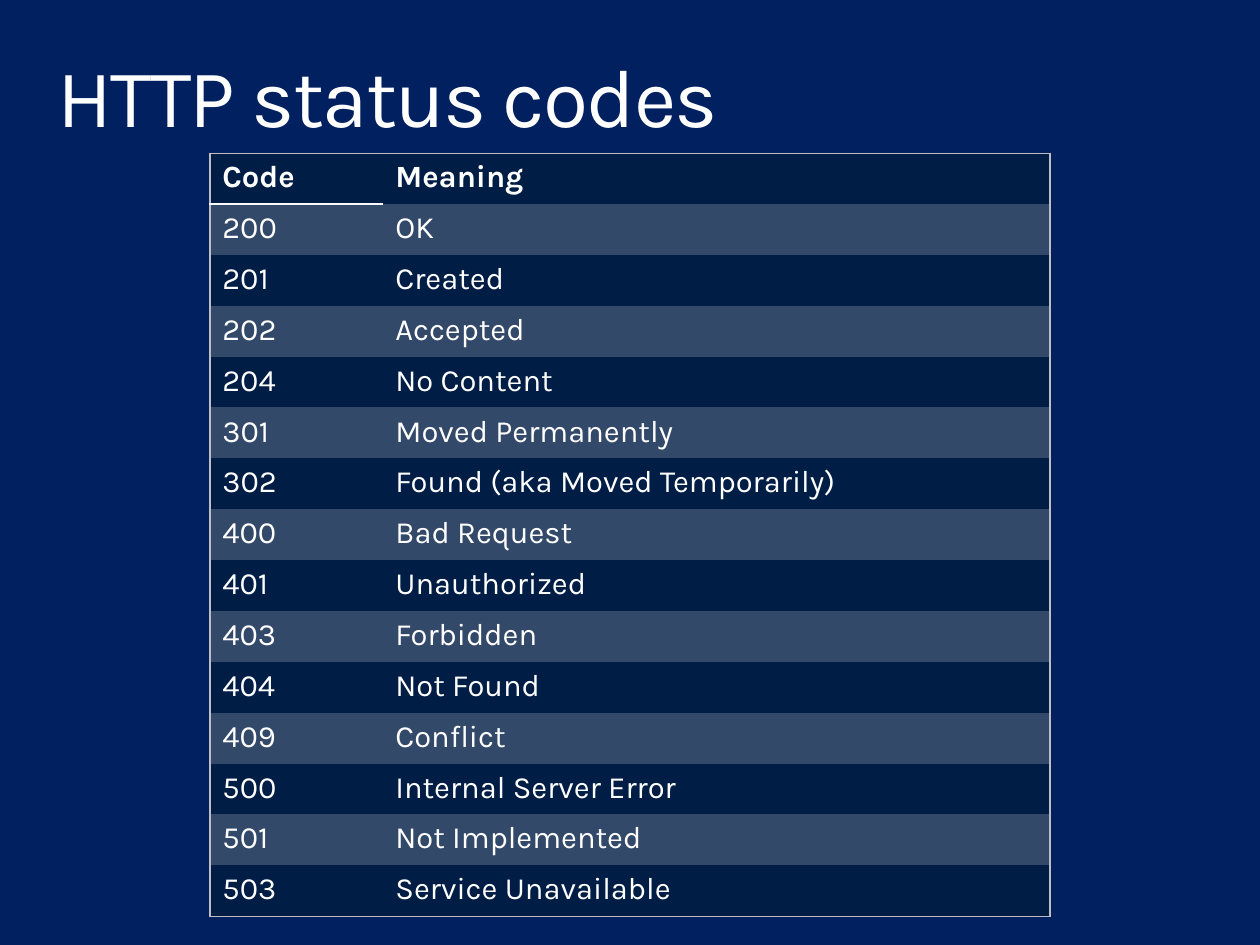
from dataclasses import dataclass

from lxml import etree
from pptx import Presentation
from pptx.dml.color import RGBColor
from pptx.enum.text import MSO_ANCHOR, MSO_AUTO_SIZE, PP_ALIGN
from pptx.oxml.ns import qn
from pptx.util import Inches, Pt

MIDDLE, LEFT, NO_FIT = MSO_ANCHOR.MIDDLE, PP_ALIGN.LEFT, MSO_AUTO_SIZE.NONE
TITLE_ONLY = 5
PLAIN_STYLE = "{2D5ABB26-0587-4C30-8999-92F81FD0307C}"
WIDTH, HEIGHT = Inches(10.2), Inches(7.65)


@dataclass(frozen=True)
class Theme:
    font: str = "Karla"
    back: str = "002060"
    text: str = "FFFFFF"
    dark: str = "001D45"
    light: str = "33496A"
    edge: str = "BDBDC2"
    rule: str = "F9F9F9"
    title: float = 48
    body: float = 18
    thin: float = 0.75
    thick: float = 1.35


@dataclass(frozen=True)
class Box:
    """A place on the slide, in shares of its width and height."""
    left: float
    top: float
    width: float
    height: float

    def place(self) -> tuple[int, int, int, int]:
        return (round(self.left * WIDTH), round(self.top * HEIGHT),
                round(self.width * WIDTH), round(self.height * HEIGHT))


@dataclass(frozen=True)
class Status:
    code: str
    meaning: str


THEME = Theme()
TITLE_BOX = Box(0.03, 0.042, 0.94, 0.13)
TABLE_BOX = Box(1 / 6, 0.162, 2 / 3, 0.808)
CODE_SHARE = 0.206

ROWS = [
    Status("Code", "Meaning"),
    Status("200", "OK"),
    Status("201", "Created"),
    Status("202", "Accepted"),
    Status("204", "No Content"),
    Status("301", "Moved Permanently"),
    Status("302", "Found (aka Moved Temporarily)"),
    Status("400", "Bad Request"),
    Status("401", "Unauthorized"),
    Status("403", "Forbidden"),
    Status("404", "Not Found"),
    Status("409", "Conflict"),
    Status("500", "Internal Server Error"),
    Status("501", "Not Implemented"),
    Status("503", "Service Unavailable"),
]


def color(code: str) -> RGBColor:
    return RGBColor.from_string(code)


def style(frame, size: float, bold: bool = False) -> None:
    font = frame.paragraphs[0].runs[0].font
    font.name, font.size, font.bold = THEME.font, Pt(size), bold
    font.color.rgb = color(THEME.text)


def add_line(cell, side: str, code: str, width: float) -> None:
    """Draw one cell border; call in the order L, R, T, B, before the fill."""
    props = cell._tc.get_or_add_tcPr()
    line = etree.SubElement(props, qn(f"a:ln{side}"), w=str(Pt(width)))
    fill = etree.SubElement(line, qn("a:solidFill"))
    etree.SubElement(fill, qn("a:srgbClr"), val=code)


def add_title(slide, text: str) -> None:
    title = slide.shapes.title
    title.left, title.top, title.width, title.height = TITLE_BOX.place()
    frame = title.text_frame
    frame.text = text
    frame.word_wrap, frame.auto_size = True, NO_FIT
    frame.vertical_anchor = MIDDLE
    frame.margin_left = frame.margin_right = Inches(0.16)
    frame.margin_top = frame.margin_bottom = Inches(0.1)
    para = frame.paragraphs[0]
    para.alignment, para.line_spacing = LEFT, 0.9
    style(frame, THEME.title)
    para.runs[0].font._element.set("spc", "-100")


def fill_cell(cell, text: str, row: int, col: int) -> None:
    head, last = row == 0, row == len(ROWS) - 1
    cell.text = text
    style(cell.text_frame, THEME.body, bold=head)
    add_line(cell, "R" if col else "L", THEME.edge, THEME.thin)
    if head:
        add_line(cell, "T", THEME.edge, THEME.thin)
    if head and col == 0:
        add_line(cell, "B", THEME.rule, THEME.thick)
    if last:
        add_line(cell, "B", THEME.edge, THEME.thin)
    cell.fill.solid()
    cell.fill.fore_color.rgb = color(THEME.light if row % 2 else THEME.dark)


def add_codes(slide, rows: list[Status]) -> None:
    left, top, width, height = TABLE_BOX.place()
    table = slide.shapes.add_table(len(rows), 2, left, top, width, height).table
    table._tbl.tblPr.find(qn("a:tableStyleId")).text = PLAIN_STYLE
    table.columns[0].width = round(width * CODE_SHARE)
    table.columns[1].width = width - table.columns[0].width
    for row, status in enumerate(rows):
        for col, text in enumerate((status.code, status.meaning)):
            fill_cell(table.cell(row, col), text, row, col)


def main() -> None:
    deck = Presentation()
    deck.slide_width, deck.slide_height = WIDTH, HEIGHT
    slide = deck.slides.add_slide(deck.slide_layouts[TITLE_ONLY])
    slide.background.fill.solid()
    slide.background.fill.fore_color.rgb = color(THEME.back)
    add_title(slide, "HTTP status codes")
    add_codes(slide, ROWS)
    deck.save("out.pptx")


if __name__ == "__main__":
    main()
